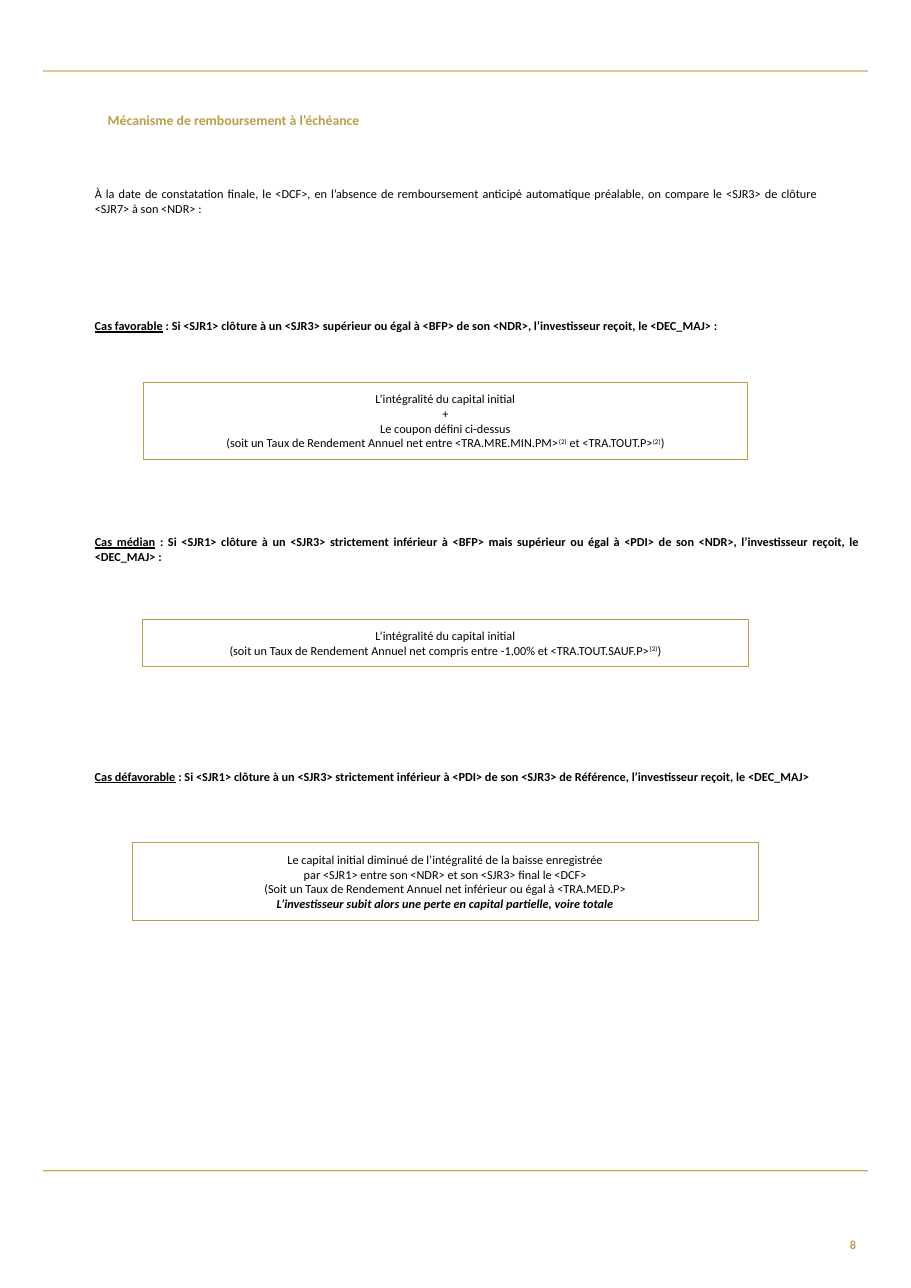
from pptx import Presentation
from pptx import util as u
from pptx.dml.color import RGBColor
from pptx.enum import shapes, text

GOLD = RGBColor(0xB9, 0xA0, 0x49)
RULE_GOLD = RGBColor(0xC5, 0xAF, 0x5C)
BLACK = RGBColor(0, 0, 0)
FONT = "Calibri"

WIDTH, HEIGHT = u.Inches(8.27), u.Inches(11.69)
MARGIN = 4.72        # all positions are percentages of the slide's size
TEXT_LEFT = 10.4
BOX_CENTRE = 48.9
NOTE = "(2)"         # footnote mark, set as superscript

INTRO = ("À la date de constatation finale, le <DCF>, en l’absence de remboursement "
         "anticipé automatique préalable, on compare le <SJR3> de clôture <SJR7> "
         "à son <NDR> :")

# heading top, heading width, name, condition, box top, box width, box height, lines
CASES = [
    (24.72, 80.29, "Cas favorable",
     " : Si <SJR1> clôture à un <SJR3> supérieur ou égal à <BFP> de son <NDR>, "
     "l’investisseur reçoit, le <DEC_MAJ> :",
     29.68, 66.4, 5.99,
     ["L’intégralité du capital initial",
      "+",
      "Le coupon défini ci-dessus",
      "(soit un Taux de Rendement Annuel net entre <TRA.MRE.MIN.PM>(2) "
      "et <TRA.TOUT.P>(2))"]),
    (41.49, 84.04, "Cas médian",
     " : Si <SJR1> clôture à un <SJR3> strictement inférieur à <BFP> mais supérieur "
     "ou égal à <PDI> de son <NDR>, l’investisseur reçoit, le <DEC_MAJ> :",
     48.08, 66.5, 3.68,
     ["L’intégralité du capital initial",
      "(soit un Taux de Rendement Annuel net compris entre -1,00% "
      "et <TRA.TOUT.SAUF.P>(2))"]),
    (59.71, 80.29, "Cas défavorable",
     " : Si <SJR1> clôture à un <SJR3> strictement inférieur à <PDI> de son <SJR3> "
     "de Référence, l’investisseur reçoit, le <DEC_MAJ>",
     65.44, 68.8, 5.99,
     ["Le capital initial diminué de l’intégralité de la baisse enregistrée",
      "par <SJR1> entre son <NDR> et son <SJR3> final le <DCF>",
      "(Soit un Taux de Rendement Annuel net inférieur ou égal à <TRA.MED.P>",
      "L’investisseur subit alors une perte en capital partielle, voire totale"]),
]


def area(left, top, width, height):
    """Turn percentages of the slide into lengths."""
    return (int(WIDTH * left / 100), int(HEIGHT * top / 100),
            int(WIDTH * width / 100), int(HEIGHT * height / 100))


def style(p, align, size=8, color=BLACK, bold=False):
    p.alignment = align
    p.font.name = FONT
    p.font.size = u.Pt(size)
    p.font.color.rgb = color
    p.font.bold = bold


def set_insets(tf, x, y):
    tf.margin_left = tf.margin_right = u.Inches(x)
    tf.margin_top = tf.margin_bottom = u.Inches(y)


def add_run(p, words):
    r = p.add_run()
    r.text = words
    return r


def add_rectangle(s, place):
    sp = s.shapes.add_shape(shapes.MSO_SHAPE.RECTANGLE, *area(*place))
    sp.shadow.inherit = False
    return sp


def add_rule(s, top):
    sp = add_rectangle(s, (MARGIN, top, 100 - 2 * MARGIN, 0.09))
    sp.fill.solid()
    sp.fill.fore_color.rgb = RULE_GOLD
    sp.line.fill.background()


def add_text(s, place):
    tf = s.shapes.add_textbox(*area(*place)).text_frame
    tf.word_wrap = True
    return tf


def add_label(s, place, words, align, size):
    tf = add_text(s, place)
    p = tf.paragraphs[0]
    add_run(p, words)
    style(p, align, size, GOLD, True)
    return tf


def add_body(s, top, width, words, name="", bold=False):
    """Add a justified paragraph that may open with an underlined name."""
    tf = add_text(s, (TEXT_LEFT, top, width, 2.31))
    set_insets(tf, 0, 0)
    p = tf.paragraphs[0]
    if name:
        add_run(p, name).font.underline = True
    add_run(p, words)
    style(p, text.PP_ALIGN.JUSTIFY, bold=bold)


def add_noted_line(p, line):
    """Write a line, raising each footnote mark."""
    for i, part in enumerate(line.split(NOTE)):
        if i:
            add_run(p, NOTE)._r.get_or_add_rPr().set("baseline", "30000")
        add_run(p, part)
    style(p, text.PP_ALIGN.CENTER)


def add_payout_box(s, top, width, height, lines):
    sp = add_rectangle(s, (BOX_CENTRE - width / 2, top, width, height))
    sp.fill.background()
    sp.line.color.rgb = GOLD
    sp.line.width = u.Pt(0.5)
    tf = sp.text_frame
    tf.word_wrap = True
    tf.vertical_anchor = text.MSO_ANCHOR.MIDDLE
    set_insets(tf, 0.12, 0.08)
    for i, line in enumerate(lines):
        p = tf.add_paragraph() if i else tf.paragraphs[0]
        add_noted_line(p, line)
    return tf


def main():
    prs = Presentation()
    prs.slide_width, prs.slide_height = WIDTH, HEIGHT
    s = prs.slides.add_slide(prs.slide_layouts[6])

    for top in (5.47, 90.85):
        add_rule(s, top)
    title = add_label(s, (3.75, 8.38, 43.77, 1.28),
                      "Mécanisme de remboursement à l’échéance",
                      text.PP_ALIGN.CENTER, 9)
    title.paragraphs[0].line_spacing = 0.9
    number = add_label(s, (90.45, 94.87, MARGIN, 3.59), "8", text.PP_ALIGN.RIGHT, 8)
    number.vertical_anchor = text.MSO_ANCHOR.MIDDLE

    add_body(s, 14.46, 79.44, INTRO)
    for top, width, name, condition, box_top, box_width, box_height, lines in CASES:
        add_body(s, top, width, condition, name, bold=True)
        payout = add_payout_box(s, box_top, box_width, box_height, lines)
    warning = payout.paragraphs[-1].font
    warning.bold = warning.italic = True

    prs.save("out.pptx")


if __name__ == "__main__":
    main()
